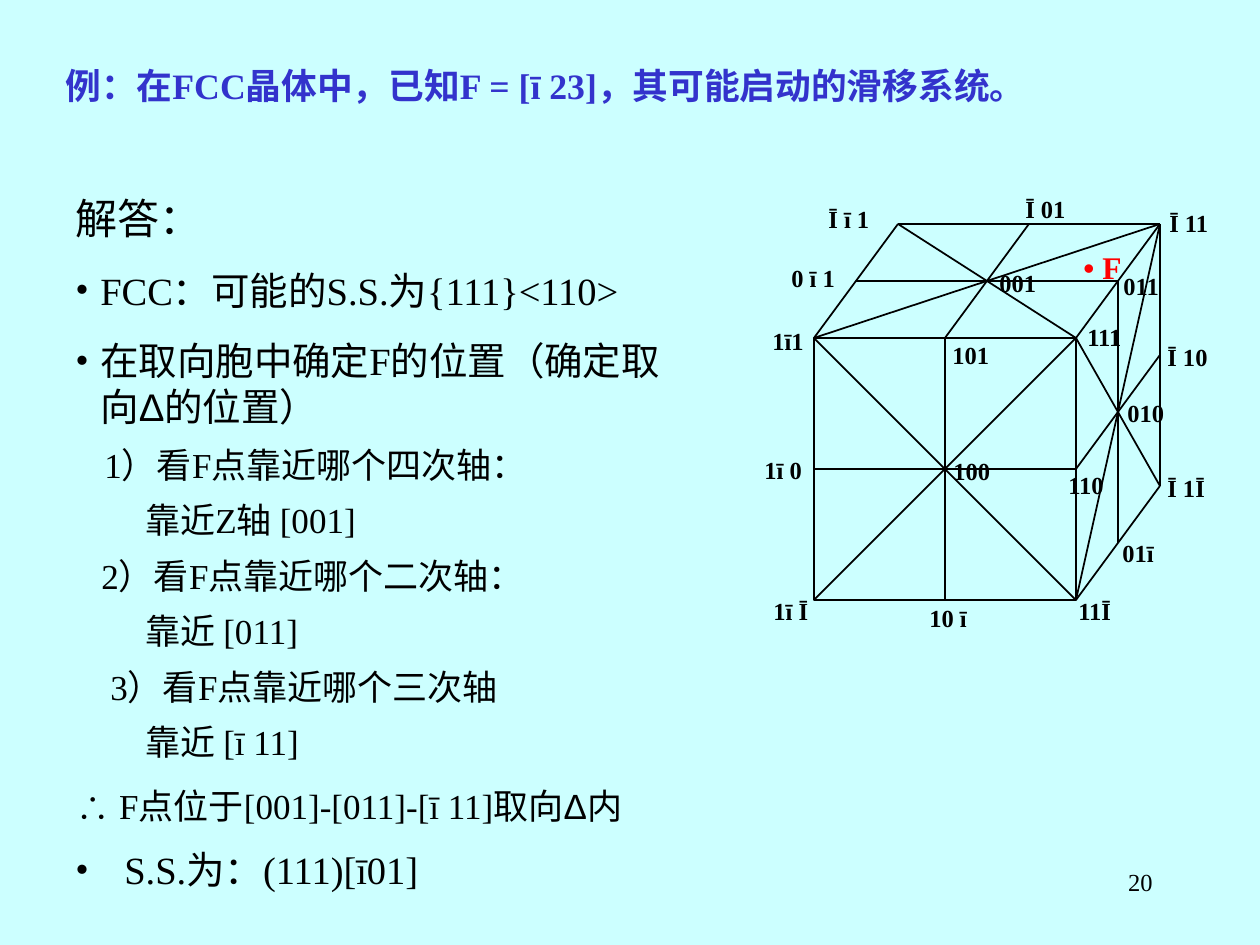
from pptx import Presentation
from pptx.dml.color import RGBColor
from pptx.enum.shapes import MSO_CONNECTOR, MSO_SHAPE
from pptx.enum.text import PP_ALIGN
from pptx.util import Pt
from lxml.etree import SubElement
from pptx.oxml.ns import qn

PX = 914400 // 126
ROMAN, ARIAL = "Times New Roman", "Arial"
BLACK, BLUE, RED, SKY = "000000", "3333CC", "FF0000", "CCFFFF"

TITLE = "例：在FCC晶体中，已知F = [ī 23]，其可能启动的滑移系统。"
# kind: (size, space before, line spacing, bullet)
STYLES = {
    "head": (24, 0, 1, False),
    "item": (22, 13.8, 1, True),
    "step": (20, 12.5, 0.8, False),
    "result": (20, 12.5, 1, False),
}
# kind, left margin, runs
SOLUTION = [
    ("head", 0, ["解答："]),
    ("item", 25, ["FCC：可能的S.S.为{111}<110>"]),
    ("item", 25, ["在取向胞中确定F的位置（确定取向", "Δ", "的位置）"]),
    ("step", 29, ["1）看F点靠近哪个四次轴："]),
    ("step", 70, ["靠近Z轴 [001]"]),
    ("step", 26, ["2）看F点靠近哪个二次轴："]),
    ("step", 70, ["靠近 [011]"]),
    ("step", 35, ["3）看F点靠近哪个三次轴"]),
    ("step", 70, ["靠近 [ī 11]"]),
    ("result", 0, ["∴", " F点位于[001]-[011]-[ī 11]取向", "Δ", "内"]),
]
SYMBOLS = {"∴", "Δ"}

CUBE_LEFT, CUBE_BOTTOM, HALF = 814, 600, 131
DEPTH_X, DEPTH_Y = 42, 57
LINES = [
    ((-1, -1, 1), (-1, 1, 1)), ((-1, 1, 1), (-1, 1, -1)),
    ((0, 1, 1), (0, 1, -1)), ((1, 0, 1), (1, 0, -1)),
    ((1, -1, 0), (1, 1, 0)), ((0, -1, 1), (0, 1, 1)),
    ((1, -1, -1), (1, 1, 1)), ((1, 1, 1), (-1, 1, 1)),
    ((1, -1, 1), (1, 1, -1)), ((1, 1, -1), (-1, 1, -1)),
    ((1, 0, 1), (-1, 0, 1)), ((1, -1, 1), (-1, -1, 1)),
    ((1, 1, 0), (-1, 1, 0)), ((1, -1, 1), (-1, 1, 1)),
    ((-1, -1, 1), (1, 1, 1)), ((-1, 1, 1), (1, 1, -1)),
    ((1, 1, 1), (-1, 1, -1)),
]
FRONT_SIDES = {(1, 0, 1): 0, (1, -1, 0): 1, (1, 0, -1): 2, (1, 1, 0): 3}
LABELS = [
    ("001", 987, 262), ("100", 941, 450), ("010", 1115, 392), ("111", 1075, 316),
    ("Ī 11", 1157, 202), ("1ī1", 760, 320), ("Ī ī 1", 816, 198), ("11Ī", 1066, 590),
    ("1ī Ī", 761, 590), ("Ī 1Ī", 1155, 467), ("110", 1056, 464), ("Ī 10", 1155, 336),
    ("1ī 0", 752, 449), ("101", 940, 334), ("Ī 01", 1013, 188), ("10 ī", 917, 597),
    ("011", 1111, 265), ("01ī", 1110, 532), ("0 ī 1", 779, 257),
]


def rgb(value):
    return RGBColor.from_string(value)


def add_box(left, top, width, height):
    tf = s.shapes.add_textbox(*(v * PX for v in (left, top, width, height))).text_frame
    tf.word_wrap = True
    return tf


def add_run(p, text, size, color=BLACK, bold=False):
    r = p.add_run()
    r.text = text
    r.font.size = Pt(size)
    r.font.name = ARIAL if text in SYMBOLS else ROMAN
    r.font.bold = bold
    r.font.color.rgb = rgb(color)


def set_indent(p, margin, hang=0, bullet=False):
    pPr = p._p.get_or_add_pPr()
    pPr.set("marL", str(margin * PX))
    pPr.set("indent", str(-hang * PX))
    if bullet:
        SubElement(pPr, qn("a:buFont"), typeface=ROMAN)
        SubElement(pPr, qn("a:buChar"), char="•")


def node(h, k, l):
    x = CUBE_LEFT + HALF * (k + 1) + DEPTH_X * (1 - h)
    y = CUBE_BOTTOM - HALF * (l + 1) - DEPTH_Y * (1 - h)
    return x * PX, y * PX


def add_line(start, end):
    c = s.shapes.add_connector(MSO_CONNECTOR.STRAIGHT, *node(*start), *node(*end))
    c.line.color.rgb = rgb(BLACK)
    c.line.width = Pt(1)
    SubElement(c._element.spPr, qn("a:effectLst"))
    if start in FRONT_SIDES:
        c.begin_connect(front, FRONT_SIDES[start])
    if end in FRONT_SIDES:
        c.end_connect(front, FRONT_SIDES[end])


prs = Presentation()
prs.slide_width, prs.slide_height = 1260 * PX, 945 * PX
s = prs.slides.add_slide(prs.slide_layouts[6])
s.background.fill.solid()
s.background.fill.fore_color.rgb = rgb(SKY)

p = add_box(903, 861, 262, 63).paragraphs[0]
p.alignment = PP_ALIGN.RIGHT
add_run(p, "20", 14)

p = add_box(53, 53, 1008, 94).paragraphs[0]
set_indent(p, 79, 79)
p.line_spacing = 1.1
add_run(p, TITLE, 20.4, BLUE, True)

tf = add_box(63, 186, 630, 650)
for i, (kind, margin, runs) in enumerate(SOLUTION):
    size, before, spacing, bullet = STYLES[kind]
    p = tf.add_paragraph() if i else tf.paragraphs[0]
    set_indent(p, margin, margin if bullet else 0, bullet)
    p.space_before = Pt(before)
    p.line_spacing = spacing
    for text in runs:
        add_run(p, text, size)

p = add_box(63, 840, 536, 59).paragraphs[0]
set_indent(p, 49, 49, True)
add_run(p, "S.S.为：(111)[ī01]", 22)

front = s.shapes.add_shape(MSO_SHAPE.RECTANGLE, *node(1, -1, 1), 2 * HALF * PX, 2 * HALF * PX)
front.shadow.inherit = False
front.fill.background()
front.line.color.rgb = rgb(BLACK)
front.line.width = Pt(1)
for start, end in LINES:
    add_line(start, end)

add_run(add_box(1071, 242, 73, 50).paragraphs[0], "• F", 18, RED, True)
for text, left, top in LABELS:
    add_run(add_box(left, top, 97 if text.count(" ") > 1 else 73, 43).paragraphs[0], text, 14, bold=True)

prs.save("out.pptx")
